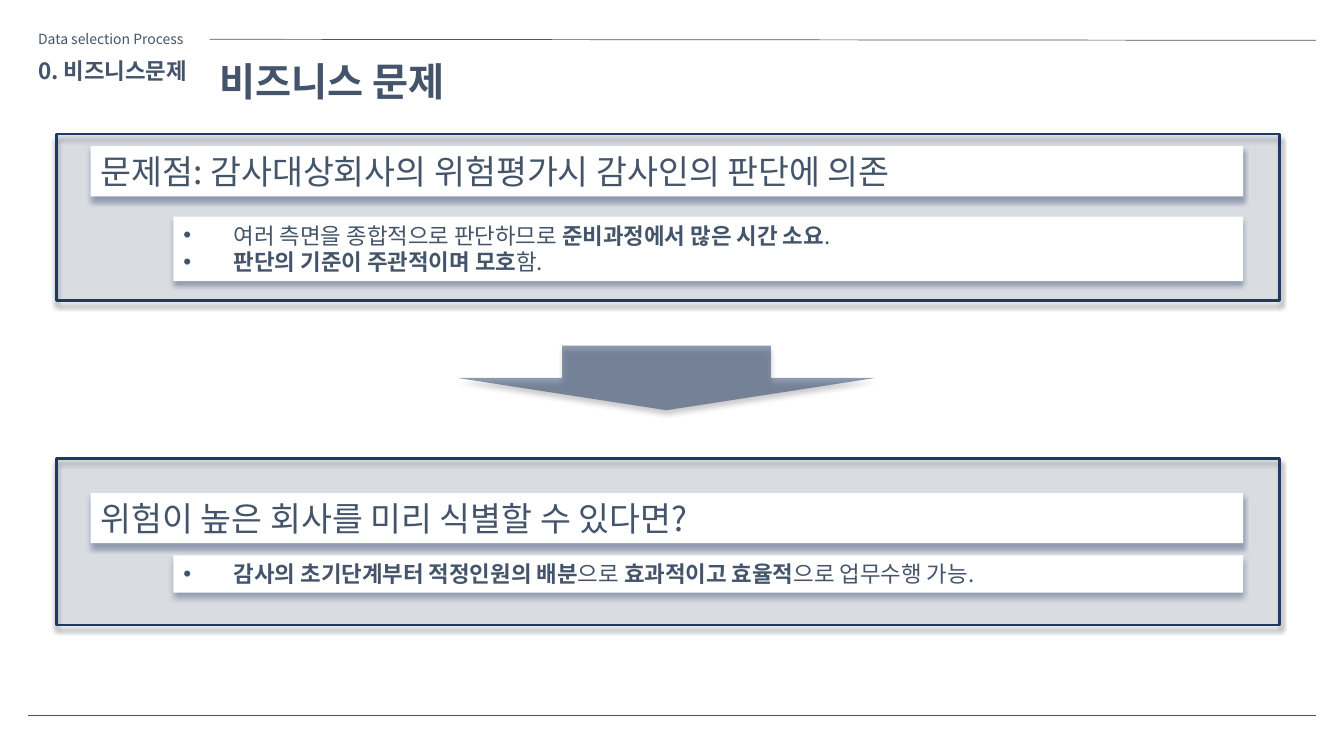
from dataclasses import dataclass

from lxml import etree
from pptx import Presentation
from pptx.dml.color import RGBColor
from pptx.enum.shapes import MSO_CONNECTOR, MSO_SHAPE
from pptx.enum.text import MSO_ANCHOR, MSO_AUTO_SIZE, PP_ALIGN
from pptx.oxml.ns import qn
from pptx.util import Inches, Pt

RECT = MSO_SHAPE.RECTANGLE
ARROW = MSO_SHAPE.DOWN_ARROW
LINE = MSO_CONNECTOR.STRAIGHT
TOP = MSO_ANCHOR.TOP
GROW = MSO_AUTO_SIZE.SHAPE_TO_FIT_TEXT
LEFT = PP_ALIGN.LEFT


@dataclass(frozen=True)
class Theme:
    font: str = "Noto Sans CJK KR"
    ink: str = "44546A"
    navy: str = "203864"
    white: str = "FFFFFF"
    black: str = "000000"
    label: int = 10
    body: int = 16
    head: int = 24
    title: int = 28
    rule: float = 0.5
    frame: float = 1.75


THEME = Theme()
FRAME = {"word_wrap": True, "auto_size": GROW, "vertical_anchor": TOP}


@dataclass(frozen=True)
class Box:
    x: float
    y: float
    w: float
    h: float

    def place(self) -> tuple:
        return tuple(Inches(v) for v in (self.x, self.y, self.w, self.h))


@dataclass(frozen=True)
class Run:
    text: str
    bold: bool = False


@dataclass(frozen=True)
class Label:
    box: Box
    text: str
    size: int
    bold: bool = True


@dataclass(frozen=True)
class Panel:
    top: float
    head_y: float
    head: str
    body_y: float
    body_h: float
    points: list


LABELS = [
    Label(Box(0.28, 0.25, 1.8, 0.27), "Data selection Process", THEME.label, False),
    Label(Box(2.08, 0.52, 5.78, 0.57), "비즈니스 문제", THEME.title),
    Label(Box(0.28, 0.52, 1.8, 0.37), "0. 비즈니스문제", THEME.body),
]
RULES = [(2.08, 0.39, 13.05, 0.4), (0.28, 7.1, 13.05, 7.1)]
PANELS = [
    Panel(1.33, 1.45, "문제점: 감사대상회사의 위험평가시 감사인의 판단에 의존", 2.15, 0.64, [
        [Run("여러 측면을 종합적으로 판단하므로 "),
         Run("준비과정에서 많은 시간 소요", True), Run(".")],
        [Run("판단의 기준이 주관적이며 모호", True), Run("함.")],
    ]),
    Panel(4.55, 4.89, "위험이 높은 회사를 미리 식별할 수 있다면?", 5.51, 0.37, [
        [Run("감사의 초기단계부터 적정인원의 배분", True), Run("으로 "),
         Run("효과적이고 효율적", True), Run("으로 업무수행 가능.")],
    ]),
]


def add_node(parent, tag: str, **attrs):
    node = etree.SubElement(parent, qn(tag))
    for key, val in attrs.items():
        node.set(key, str(val))
    return node


def write(shape, lines: list, size: int, bullet: bool = False) -> None:
    frame = shape.text_frame
    for key, val in FRAME.items():
        setattr(frame, key, val)
    for i, line in enumerate(lines):
        para = frame.add_paragraph() if i else frame.paragraphs[0]
        para.alignment = LEFT
        if bullet:
            props = para._p.get_or_add_pPr()
            props.set("marL", str(Inches(0.5)))
            props.set("indent", str(-Inches(0.5)))
            add_node(props, "a:buFont", typeface="Arial")
            add_node(props, "a:buChar", char="•")
        for part in line:
            run = para.add_run()
            run.text = part.text
            style = {"name": THEME.font, "size": Pt(size), "bold": part.bold}
            for key, val in style.items():
                setattr(run.font, key, val)
            run.font.color.rgb = RGBColor.from_string(THEME.ink)
            # Korean glyphs use the East Asian font slot
            add_node(run._r.get_or_add_rPr(), "a:ea", typeface=THEME.font)


def add_shape(slide, kind, box: Box, fill: str, shade: str,
              alpha: int = 100, edge: bool = False):
    shape = slide.shapes.add_shape(kind, *box.place())
    shape.fill.solid()
    shape.fill.fore_color.rgb = RGBColor.from_string(fill)
    if alpha < 100:
        tint = shape._element.spPr.find(qn("a:solidFill"))[0]
        add_node(tint, "a:alpha", val=alpha * 1000)
    if edge:
        shape.line.color.rgb = RGBColor.from_string(THEME.navy)
        shape.line.width = Pt(THEME.frame)
    else:
        shape.line.fill.background()
    # Soft shadow straight below
    shape.shadow.inherit = False
    effect = shape._element.spPr.find(qn("a:effectLst"))
    cast = add_node(effect, "a:outerShdw", blurRad=Pt(4), dist=Pt(3),
                    dir=90 * 60000, algn="t", rotWithShape=0)
    tone = add_node(cast, "a:srgbClr", val=shade)
    add_node(tone, "a:alpha", val=40000)
    return shape


def add_rule(slide, ends: tuple) -> None:
    rule = slide.shapes.add_connector(LINE, *(Inches(v) for v in ends))
    rule.line.color.rgb = RGBColor.from_string(THEME.ink)
    rule.line.width = Pt(THEME.rule)
    add_node(rule._element.spPr, "a:effectLst")


def add_panel(slide, panel: Panel) -> None:
    add_shape(slide, RECT, Box(0.56, panel.top, 12.13, 1.65),
              THEME.navy, THEME.black, 12, True)
    head = add_shape(slide, RECT, Box(0.9, panel.head_y, 11.43, 0.5),
                     THEME.white, THEME.navy)
    write(head, [[Run(panel.head)]], THEME.head)
    body = add_shape(slide, RECT, Box(1.72, panel.body_y, 10.61, panel.body_h),
                     THEME.white, THEME.navy)
    write(body, panel.points, THEME.body, True)


def main() -> None:
    deck = Presentation()
    deck.slide_width, deck.slide_height = Inches(13.33), Inches(7.5)
    slide = deck.slides.add_slide(deck.slide_layouts[6])

    # Header and footer rules
    for ends in RULES:
        add_rule(slide, ends)

    # Header text
    for label in LABELS:
        text = slide.shapes.add_textbox(*label.box.place())
        write(text, [[Run(label.text, label.bold)]], label.size)

    # Problem and question panels, joined by an arrow
    for panel in PANELS:
        add_panel(slide, panel)
    add_shape(slide, ARROW, Box(4.54, 3.43, 4.14, 0.64),
              THEME.navy, THEME.black, 50)

    deck.save("out.pptx")


if __name__ == "__main__":
    main()
